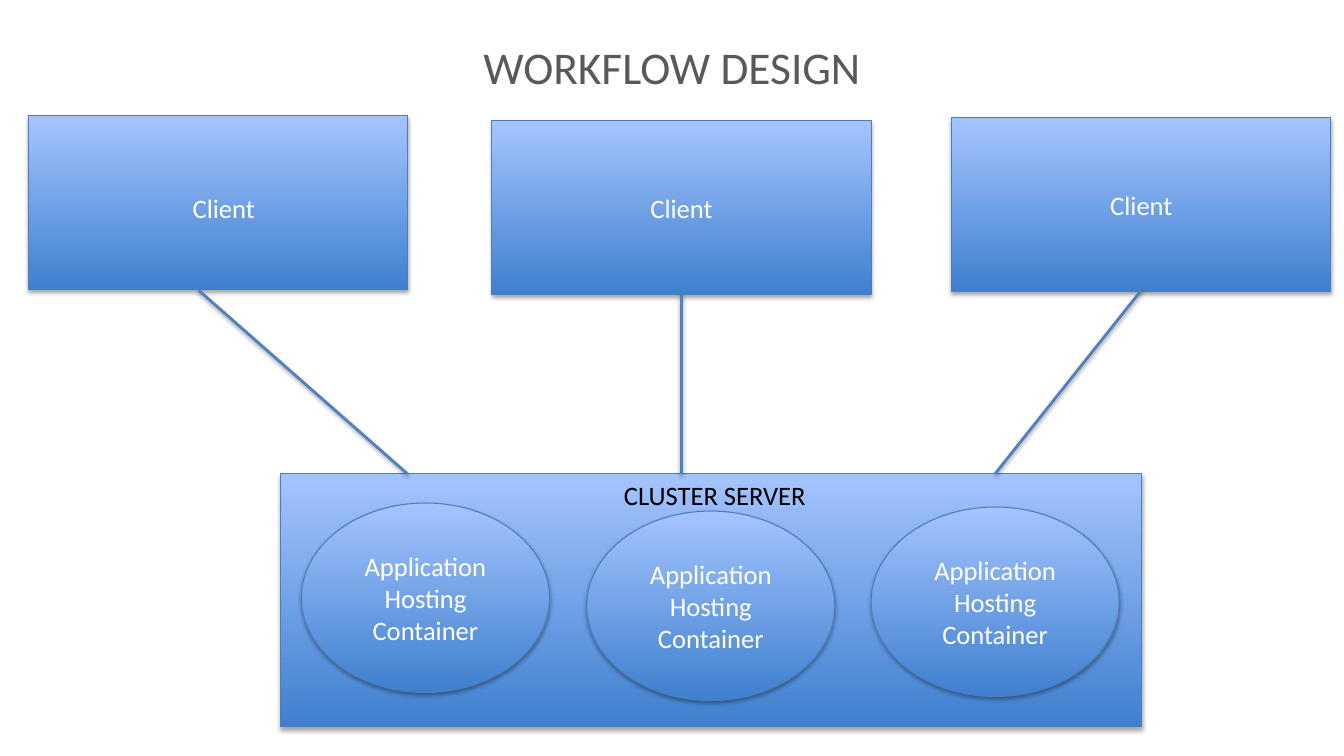
"""Build the workflow design slide: three clients linked to a cluster server."""
from lxml import etree
from pptx import Presentation
from pptx.dml.color import RGBColor
from pptx.enum.shapes import MSO_CONNECTOR, MSO_SHAPE
from pptx.enum.text import MSO_ANCHOR, MSO_AUTO_SIZE, PP_ALIGN
from pptx.oxml.ns import qn
from pptx.util import Inches, Pt

RECT, OVAL = MSO_SHAPE.RECTANGLE, MSO_SHAPE.OVAL
STRAIGHT = MSO_CONNECTOR.STRAIGHT
MIDDLE, CENTER, NO_FIT = MSO_ANCHOR.MIDDLE, PP_ALIGN.CENTER, MSO_AUTO_SIZE.NONE

TITLE = "WORKFLOW DESIGN"
CLIENT = "Client"
CONTAINER = "Application Hosting Container"
CLIENT_SIZE = (3.76, 1.72)
CONTAINER_SIZE = (2.46, 1.88)
CLIENTS = [(0.28, 1.15, ""), (4.88, 1.2, CLIENT), (9.44, 1.17, CLIENT)]
SERVER = (2.78, 4.7, 8.54, 2.51)
CONTAINERS = [(2.99, 4.99), (5.82, 5.07), (8.64, 5.03)]
LINKS = [((1.97, 2.88), (4.04, 4.7)),
         ((6.76, 2.92), (6.76, 4.7)),
         ((11.32, 2.88), (9.87, 4.7))]
LABELS = [(CLIENT, (0.9, 1.85, 2.64, 0.42), "FFFFFF"),
          ("CLUSTER SERVER", (5.82, 4.7, 2.54, 0.42), "000000")]


def rgb(value):
    return RGBColor.from_string(value)


def inches(values):
    return [Inches(v) for v in values]


def add_text(tf, text, size, color):
    tf.word_wrap = True
    p = tf.paragraphs[0]
    p.alignment = CENTER
    r = p.add_run()
    r.text = text
    r.font.size = Pt(size)
    r.font.name = "Calibri"
    r.font.color.rgb = rgb(color)


def add_shadow(sp, opacity, distance):
    sp_pr = sp._element.spPr
    effects = sp_pr.find(qn("a:effectLst"))
    if effects is None:
        effects = etree.SubElement(sp_pr, qn("a:effectLst"))
    shadow = etree.SubElement(effects, qn("a:outerShdw"), blurRad="40000",
                              dist=str(distance), dir="5400000", rotWithShape="0")
    color = etree.SubElement(shadow, qn("a:srgbClr"), val="000000")
    etree.SubElement(color, qn("a:alpha"), val=str(opacity * 1000))


def add_block(s, kind, box, text=""):
    sp = s.shapes.add_shape(kind, *inches(box))
    sp.fill.gradient()
    sp.fill.gradient_angle = 90
    for stop, color, position in zip(sp.fill.gradient_stops, ("3F80CE", "A4C4FF"), (0, 1)):
        stop.color.rgb = rgb(color)
        stop.position = position
    sp.line.color.rgb = rgb("4B7EBC")
    sp.line.width = Pt(0.75)
    sp.shadow.inherit = False
    add_shadow(sp, 35, 23000)
    if text:
        sp.text_frame.vertical_anchor = MIDDLE
        add_text(sp.text_frame, text, 19, "FFFFFF")


def add_link(s, start, end):
    link = s.shapes.add_connector(STRAIGHT, *inches(start + end))
    link.line.color.rgb = rgb("4F81BD")
    link.line.width = Pt(2)
    add_shadow(link, 38, 20000)


def main():
    prs = Presentation()
    prs.slide_width, prs.slide_height = inches((13.33, 7.5))
    s = prs.slides.add_slide(prs.slide_layouts[5])

    title = s.shapes.title
    title.left, title.top, title.width, title.height = inches((0, 0.35, 13.33, 0.62))
    title.text_frame.auto_size = NO_FIT
    title.text_frame.vertical_anchor = MIDDLE
    add_text(title.text_frame, TITLE, 32.4, "595959")

    for left, top, text in CLIENTS:
        add_block(s, RECT, (left, top) + CLIENT_SIZE, text)
    add_block(s, RECT, SERVER)
    for position in CONTAINERS:
        add_block(s, OVAL, position + CONTAINER_SIZE, CONTAINER)
    for start, end in LINKS:
        add_link(s, start, end)
    for text, box, color in LABELS:
        add_text(s.shapes.add_textbox(*inches(box)).text_frame, text, 19, color)

    prs.save("out.pptx")


if __name__ == "__main__":
    main()
